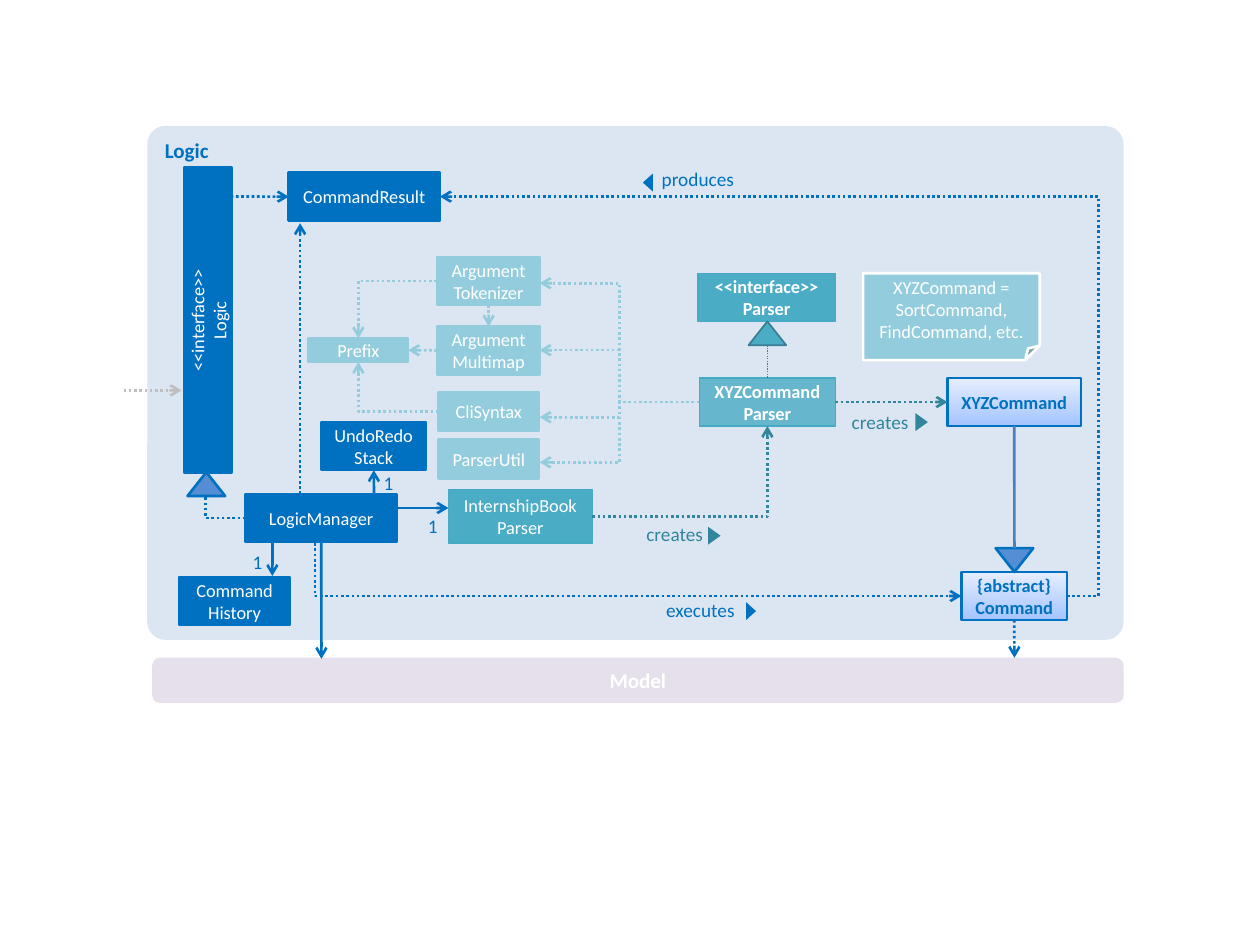
from dataclasses import dataclass

from lxml.etree import SubElement
from pptx import Presentation
from pptx.dml.color import RGBColor as Rgb
from pptx.enum.dml import MSO_LINE as Dash
from pptx.enum.shapes import MSO_CONNECTOR as Wire, MSO_SHAPE as Kind
from pptx.enum.text import MSO_ANCHOR as Anchor, PP_ALIGN as Align
from pptx.oxml.ns import qn
from pptx.util import Cm, Pt


@dataclass(frozen=True)
class Theme:
    font: str = "Calibri"
    head: float = 12
    body: float = 10.5
    note: float = 11
    thin: float = 0.75
    thick: float = 1.5
    blue: str = "0070C0"
    mid: str = "558ED5"
    steel: str = "4B7EBC"
    teal: str = "4BACC6"
    rim: str = "46AAC5"
    edge: str = "377F92"
    deep: str = "31859C"
    pale: str = "93CDDD"
    panel: str = "DCE6F2"
    model: str = "E6E0EC"
    gray: str = "BFBFBF"
    white: str = "FFFFFF"
    fade: tuple = ("A4C4FF", "E6EEFF")


SIDES = {0: (0.5, 0), 1: (0, 0.5), 2: (0.5, 1), 3: (1, 0.5)}


def joint(end):
    """Tell whether an end is a (shape, side) pair and not a point."""
    return not isinstance(end[0], (int, float))


def spot(end):
    """Turn a point in cm, or a (shape, side) pair, into slide units."""
    if not joint(end):
        return Cm(end[0]), Cm(end[1])
    shape, side = end
    x, y = SIDES[side]
    return shape.left + int(shape.width * x), shape.top + int(shape.height * y)


class Chart:
    def __init__(self, slide, theme):
        self.slide, self.theme = slide, theme

    def words(self, shape, text, ink, size, bold=False, align=Align.CENTER):
        frame = shape.text_frame
        frame.text = text
        frame.word_wrap = True
        for para in frame.paragraphs:
            para.alignment = align
            for run in para.runs:
                font = run.font
                font.name, font.size, font.bold = self.theme.font, Pt(size), bold
                font.color.rgb = Rgb.from_string(ink)
        return frame

    def snug(self, frame):
        """Take away the inner margins."""
        frame.margin_left = frame.margin_right = 0
        frame.margin_top = frame.margin_bottom = 0

    def shape(self, kind, place, fill, line=None, width=None, turn=0):
        item = self.slide.shapes.add_shape(kind, *map(Cm, place))
        item.shadow.inherit = False
        item.rotation = turn
        if isinstance(fill, tuple):
            item.fill.gradient()
            item.fill.gradient_angle = 90
            for stop, tone in zip(item.fill.gradient_stops, fill):
                stop.color.rgb = Rgb.from_string(tone)
        else:
            item.fill.solid()
            item.fill.fore_color.rgb = Rgb.from_string(fill)
        if line:
            item.line.color.rgb = Rgb.from_string(line)
            item.line.width = Pt(width or self.theme.thick)
        else:
            item.line.fill.background()
        return item

    def box(self, text, place, fill, line=None, ink=None, bold=False,
            width=None, turn=0, kind=Kind.RECTANGLE):
        item = self.shape(kind, place, fill, line or fill, width, turn)
        frame = self.words(item, text, ink or self.theme.white, self.theme.body, bold)
        frame.vertical_anchor = Anchor.MIDDLE
        self.snug(frame)
        return item

    def panel(self, text, place, fill, ink, align, anchor, curve):
        item = self.shape(Kind.ROUNDED_RECTANGLE, place, fill)
        item.adjustments[0] = curve
        frame = self.words(item, text, ink, self.theme.head, True, align)
        frame.vertical_anchor = anchor

    def label(self, text, x, y, wide, ink, align=Align.LEFT):
        item = self.slide.shapes.add_textbox(Cm(x), Cm(y), Cm(wide), Cm(0.64))
        self.snug(self.words(item, text, ink, self.theme.note, align=align))

    def mark(self, x, y, high, ink, turn=90):
        """Small reading-direction triangle centred on x, y."""
        base = 0.36
        self.shape(Kind.ISOSCELES_TRIANGLE,
                   (x - base / 2, y - high / 2, base, high), ink, turn=turn)

    def tip(self, x, y, fill, line, width=None, turn=0):
        self.shape(Kind.ISOSCELES_TRIANGLE, (x, y, 0.76, 0.48), fill, line, width, turn)

    def link(self, start, end, ink, dots=True, arrow=True, width=None,
             bend=None, corner=False):
        """Straight line; bend sets a middle turn, corner makes a single turn."""
        bent = corner or bend is not None
        wire = self.slide.shapes.add_connector(
            Wire.ELBOW if bent else Wire.STRAIGHT, *spot(start), *spot(end))
        props = wire._element.spPr
        shape = props.find(qn("a:prstGeom"))
        if corner:
            shape.set("prst", "bentConnector2")
        elif bent:
            guide = SubElement(shape.find(qn("a:avLst")), qn("a:gd"))
            guide.set("name", "adj1")
            guide.set("fmla", f"val {round(bend * 100000)}")
        else:
            if joint(start):
                wire.begin_connect(*start)
            if joint(end):
                wire.end_connect(*end)
        wire.line.color.rgb = Rgb.from_string(ink)
        wire.line.width = Pt(width or self.theme.thick)
        if dots:
            wire.line.dash_style = Dash.ROUND_DOT
        if arrow:
            SubElement(props.find(qn("a:ln")), qn("a:tailEnd")).set("type", "arrow")
        SubElement(props, qn("a:effectLst"))


def main():
    deck = Presentation()
    deck.slide_width, deck.slide_height = Cm(25.4), Cm(19.05)
    look = Theme()
    art = Chart(deck.slides.add_slide(deck.slide_layouts[6]), look)
    blue, pale, deep, teal = look.blue, look.pale, look.deep, look.teal

    art.panel("Logic", (2.97, 2.54, 19.68, 10.36), look.panel, blue,
              Align.LEFT, Anchor.TOP, 0.035)
    art.panel("Model", (3.07, 13.26, 19.58, 0.91), look.model, look.white,
              Align.CENTER, Anchor.MIDDLE, 0.17)

    art.box("<<interface>>\nLogic", (1.12, 5.97, 6.15, 0.97), blue, turn=270)
    result = art.box("CommandResult", (5.82, 3.48, 3.05, 0.97), blue)
    chief = art.box("LogicManager", (4.95, 9.96, 3.05, 0.97), blue)
    undo = art.box("UndoRedo\nStack", (6.48, 8.51, 2.11, 0.97), blue)
    art.box("Command\nHistory", (3.61, 11.63, 2.24, 0.97), blue)

    token = art.box("Argument\vTokenizer", (8.81, 5.18, 2.08, 0.97), pale)
    multi = art.box("Argument\vMultimap", (8.81, 6.58, 2.08, 0.97), pale)
    prefix = art.box("Prefix", (6.22, 6.82, 2.01, 0.48), pale)
    syntax = art.box("CliSyntax", (8.84, 7.9, 2.03, 0.79), pale)
    art.box("ParserUtil", (8.84, 8.86, 2.03, 0.79), pale)

    book = art.box("InternshipBook\nParser", (9.04, 9.88, 2.9, 1.07), teal,
                   look.rim, width=look.thin)
    art.box("<<interface>>\nParser", (14.07, 5.51, 2.77, 0.97), teal,
            look.rim, bold=True, width=look.thin)
    parser = art.box("XYZCommand\nParser", (14.1, 7.62, 2.74, 0.97), teal,
                     look.rim, bold=True, width=look.thin)
    tone = parser._element.spPr.find(qn("a:solidFill"))[0]
    SubElement(tone, qn("a:alpha")).set("val", "81000")
    order = art.box("XYZCommand", (19.1, 7.62, 2.69, 0.97), look.fade, blue, blue, True)
    base = art.box("{abstract}\vCommand", (19.38, 11.53, 2.13, 0.97),
                   look.fade, blue, blue, True)
    art.box("XYZCommand =\nSortCommand, FindCommand, etc.",
            (17.4, 5.51, 3.56, 1.75), pale, look.white, kind=Kind.FOLDED_CORNER)

    art.tip(3.78, 9.52, look.mid, blue)
    art.tip(20.07, 11.05, look.mid, blue, turn=180)
    art.tip(15.09, 6.48, teal, look.edge, 1)

    art.link((base, 3), (result, 3), blue, bend=-0.05)
    art.link((6.35, 10.95), (base, 1), blue, bend=0)
    art.link((4.65, 3.96), (result, 1), blue)
    art.link((6.05, 9.96), (6.05, 4.5), blue)
    art.link((base, 2), (20.45, 13.26), blue)
    art.link((2.49, 7.87), (3.66, 7.87), look.gray)
    art.link((chief, 1), (4.15, 10), blue, arrow=False, corner=True)
    for start, end in (
        ((chief, 2), (6.48, 13.28)),
        ((5.49, 10.95), (5.49, 11.61)),
        ((8.03, 10.24), (9.04, 10.24)),
        ((7.54, 9.96), (undo, 2)),
    ):
        art.link(start, end, blue, dots=False)
    art.link((20.45, 11.05), (order, 2), look.steel, dots=False, arrow=False)

    art.link((syntax, 1), (prefix, 2), pale, corner=True)
    art.link((token, 1), (prefix, 0), pale, corner=True)
    art.link((multi, 1), (prefix, 3), pale)
    art.link((token, 2), (multi, 0), pale)
    for y in (5.71, 7.06, 8.41, 9.32):
        art.link((parser, 1), (10.88, y), pale, bend=0.5)
    art.link((parser, 3), (order, 1), deep)
    art.link((book, 3), (parser, 2), deep, corner=True)
    art.link((15.47, 6.96), (parser, 0), deep, arrow=False, width=look.thin)

    art.label("executes", 12.78, 12.07, 2.03, blue, Align.RIGHT)
    art.mark(15.14, 12.32, 0.2, blue)
    art.label("produces", 13.34, 3.38, 2.03, blue)
    art.mark(13.06, 3.68, 0.2, blue, 270)
    art.label("creates", 13.03, 10.52, 1.55, deep)
    art.mark(14.4, 10.8, 0.25, deep)
    art.label("creates", 17.17, 8.28, 1.65, deep)
    art.mark(18.58, 8.51, 0.25, deep)
    for x, y in ((8.46, 10.36), (4.93, 11.1), (7.57, 9.5)):
        art.label("1", x, y, 0.36, blue, Align.RIGHT)

    deck.save("out.pptx")


if __name__ == "__main__":
    main()
